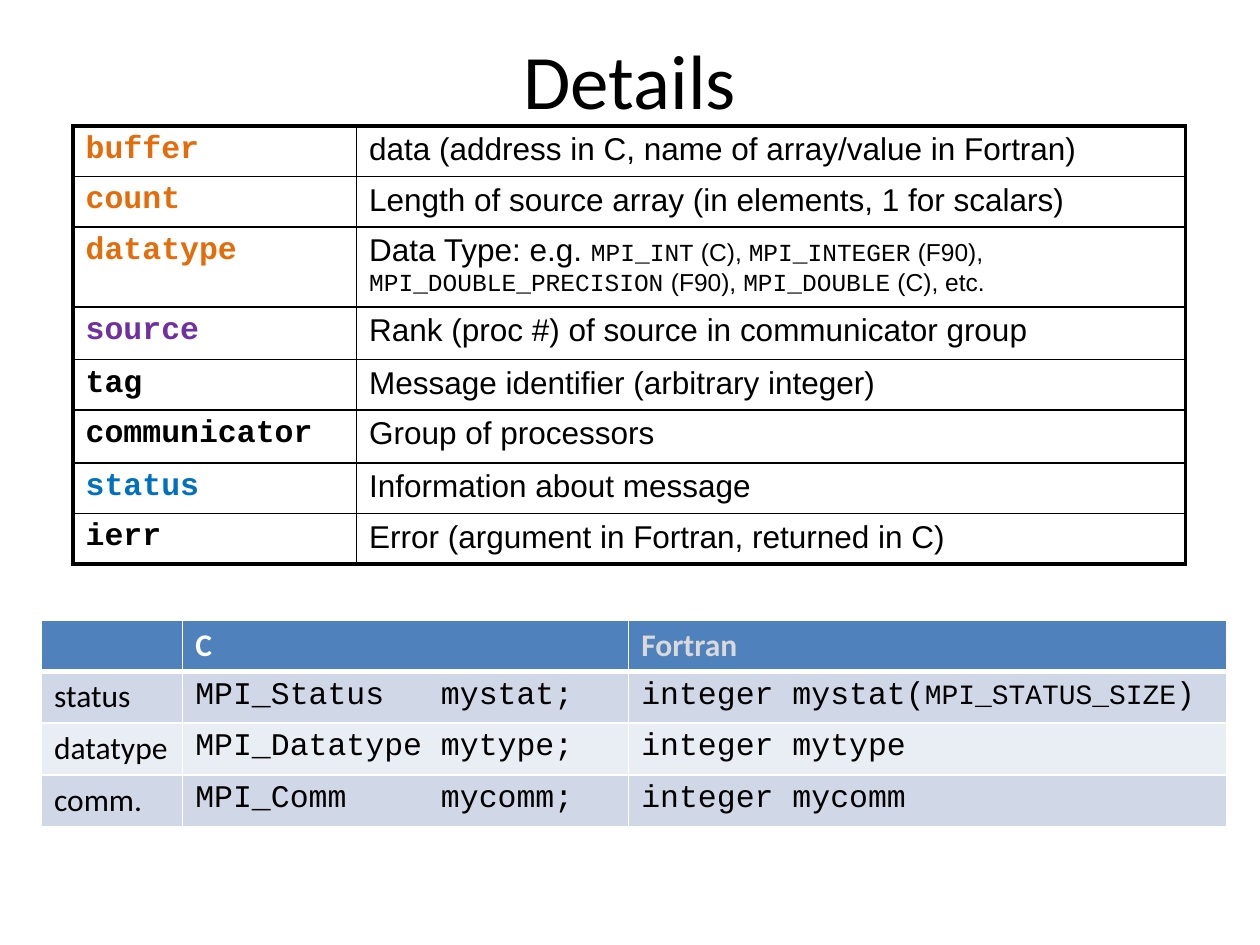
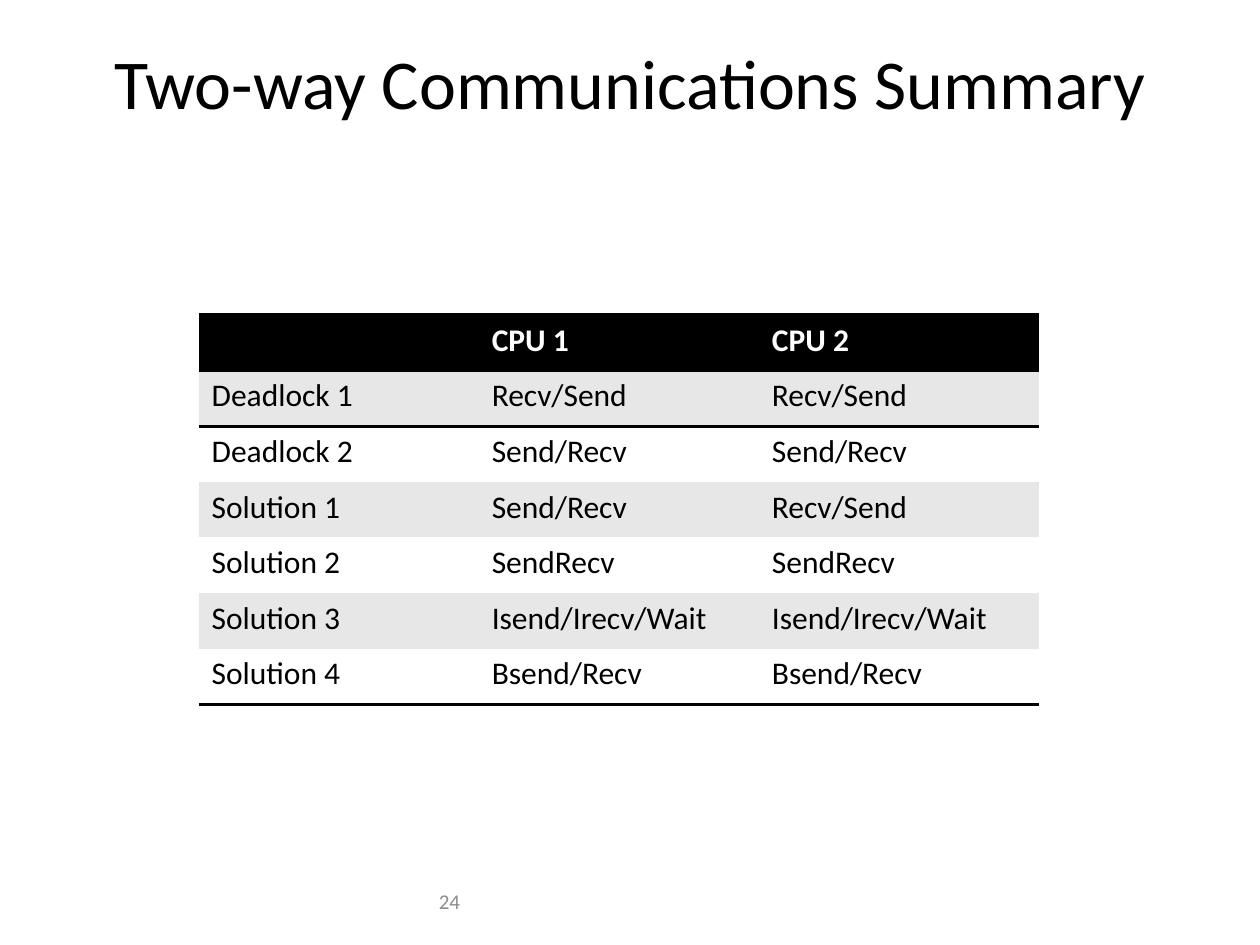
from lxml import etree
from pptx import Presentation
from pptx import util as u
from pptx.dml import color
from pptx.enum import text
from pptx.oxml import ns

BLACK, WHITE = "000000", "FFFFFF"
ORANGE, PURPLE, BLUE = "E46C0A", "7030A0", "0070C0"
HEADER_BLUE, BAND_BLUE, PALE_BLUE = "4F81BD", "D0D8E8", "E9EDF4"
BAND_GREY, NUMBER_GREY, HEADER_GREY = "E7E7E7", "8C8C8C", "D9D9D9"
BODY, SANS, CODE = "Calibri", "Arial", "Courier New"
PLAIN_TABLE = "{2D5ABB26-0587-4C30-8999-92F81FD0307C}"
CODE_TAB = 1.95

ARGUMENTS = [
    ("buffer", ORANGE, "data (address in C, name of array/value in Fortran)"),
    ("count", ORANGE, "Length of source array (in elements, 1 for scalars)"),
    ("datatype", ORANGE, "Data Type: e.g. "),
    ("source", PURPLE, "Rank (proc #) of source in communicator group"),
    ("tag", BLACK, "Message identifier (arbitrary integer)"),
    ("communicator", BLACK, "Group of processors"),
    ("status", BLUE, "Information about message"),
    ("ierr", BLACK, "Error (argument in Fortran, returned in C)"),
]
TYPE_EXAMPLES = [
    ("MPI_INT", " (C), "),
    ("MPI_INTEGER", " (F90), "),
    ("MPI_DOUBLE_PRECISION", " (F90), "),
    ("MPI_DOUBLE", " (C), etc."),
]
DECLARATIONS = [
    ("status", "MPI_Status\tmystat;", "integer mystat("),
    ("datatype", "MPI_Datatype\tmytype;", "integer mytype"),
    ("comm.", "MPI_Comm\tmycomm;", "integer mycomm"),
]
SUMMARY = [
    ("", "CPU 1", "CPU 2"),
    ("Deadlock 1", "Recv/Send", "Recv/Send"),
    ("Deadlock 2", "Send/Recv", "Send/Recv"),
    ("Solution 1", "Send/Recv", "Recv/Send"),
    ("Solution 2", "SendRecv", "SendRecv"),
    ("Solution 3", "Isend/Irecv/Wait", "Isend/Irecv/Wait"),
    ("Solution 4", "Bsend/Recv", "Bsend/Recv"),
]


def rgb(value):
    return color.RGBColor.from_string(value)


def add_text(paragraph, words, size=18, font=BODY, ink=BLACK, bold=False):
    run = paragraph.add_run()
    run.text = words
    run.font.size = u.Pt(size)
    run.font.name = font
    run.font.bold = bold
    run.font.color.rgb = rgb(ink)


def add_box(slide, box, words, align, **style):
    frame = slide.shapes.add_textbox(*map(u.Inches, box)).text_frame
    frame.word_wrap = True
    frame.vertical_anchor = text.MSO_ANCHOR.MIDDLE
    frame.paragraphs[0].alignment = align
    add_text(frame.paragraphs[0], words, **style)


def add_title(slide, box, words, size):
    add_box(slide, box, words, text.PP_ALIGN.CENTER, size=size)


def add_grid(slide, left, top, widths, heights):
    frame = slide.shapes.add_table(
        len(heights), len(widths), u.Inches(left), u.Inches(top),
        u.Inches(sum(widths)), u.Inches(sum(heights)))
    grid = frame.table
    grid.first_row = grid.horz_banding = False
    grid._tbl.tblPr.find(ns.qn("a:tableStyleId")).text = PLAIN_TABLE
    for column, width in zip(grid.columns, widths):
        column.width = u.Inches(width)
    for row, height in zip(grid.rows, heights):
        row.height = u.Inches(height)
    return grid


def fill_cell(cell, fill):
    cell.fill.solid()
    cell.fill.fore_color.rgb = rgb(fill)


def set_borders(cell, ink, **widths):
    properties = cell._tc.get_or_add_tcPr()
    sides = [side for side in "LRTB" if side in widths]
    for place, side in enumerate(sides):
        line = etree.Element(ns.qn("a:ln" + side), w=str(u.Pt(widths[side])))
        solid = etree.SubElement(line, ns.qn("a:solidFill"))
        etree.SubElement(solid, ns.qn("a:srgbClr"), val=ink)
        properties.insert(place, line)


def space_before(paragraph, percent):
    spacing = etree.SubElement(paragraph._p.get_or_add_pPr(), ns.qn("a:spcBef"))
    etree.SubElement(spacing, ns.qn("a:spcPct"), val=str(percent * 1000))


def add_tab_stop(paragraph, inches):
    stops = etree.SubElement(paragraph._p.get_or_add_pPr(), ns.qn("a:tabLst"))
    etree.SubElement(stops, ns.qn("a:tab"), pos=str(u.Inches(inches)), algn="l")


def add_argument_table(slide):
    heights = [0.37, 0.37, 0.6, 0.42, 0.37, 0.42, 0.37, 0.37]
    grid = add_grid(slide, 0.58, 1, [2.25, 6.58], heights)
    last = len(ARGUMENTS) - 1
    for row, (name, ink, meaning) in enumerate(ARGUMENTS):
        top = 2.25 if row == 0 else 1
        bottom = 2.25 if row == last else 1
        name_cell, meaning_cell = grid.cell(row, 0), grid.cell(row, 1)
        set_borders(name_cell, BLACK, L=2.25, R=1, T=top, B=bottom)
        set_borders(meaning_cell, BLACK, L=1, R=2.25, T=top, B=bottom)
        name_line = name_cell.text_frame.paragraphs[0]
        meaning_line = meaning_cell.text_frame.paragraphs[0]
        for line in (name_line, meaning_line):
            space_before(line, 20)
        add_text(name_line, name, font=CODE, ink=ink, bold=True)
        add_text(meaning_line, meaning, font=SANS)
        if name == "datatype":
            for constant, language in TYPE_EXAMPLES:
                add_text(meaning_line, constant, size=14, font=CODE)
                add_text(meaning_line, language, size=14, font=SANS)


def add_declaration_table(slide):
    grid = add_grid(slide, 0.33, 4.92, [1.12, 3.54, 4.75], [0.41] * 4)
    headings = [("", WHITE), ("C", WHITE), ("Fortran", HEADER_GREY)]
    for column, (heading, ink) in enumerate(headings):
        cell = grid.cell(0, column)
        fill_cell(cell, HEADER_BLUE)
        set_borders(cell, WHITE, L=1, R=1, T=1, B=3)
        if heading:
            add_text(cell.text_frame.paragraphs[0], heading, ink=ink, bold=True)
    for row, declaration in enumerate(DECLARATIONS, 1):
        for column, words in enumerate(declaration):
            cell = grid.cell(row, column)
            fill_cell(cell, BAND_BLUE if row % 2 else PALE_BLUE)
            set_borders(cell, WHITE, L=1, R=1, T=3 if row == 1 else 1, B=1)
            line = cell.text_frame.paragraphs[0]
            if "\t" in words:
                add_tab_stop(line, CODE_TAB)
            add_text(line, words, font=CODE if column else BODY)
    status_line = grid.cell(1, 2).text_frame.paragraphs[0]
    add_text(status_line, "MPI_STATUS_SIZE", size=16, font=CODE)
    add_text(status_line, ")", font=CODE)


def add_summary_table(slide):
    grid = add_grid(slide, 1.58, 2.5, [6.67 / 3] * 3, [3.09 / 7] * 7)
    rules = {0: {"T": 2, "B": 2}, 1: {"T": 2}, len(SUMMARY) - 1: {"B": 2}}
    for row, entries in enumerate(SUMMARY):
        header = row == 0
        band = BLACK if header else BAND_GREY if row % 2 else WHITE
        for column, words in enumerate(entries):
            cell = grid.cell(row, column)
            fill_cell(cell, band)
            set_borders(cell, BLACK, **rules.get(row, {}))
            if words:
                add_text(cell.text_frame.paragraphs[0], words,
                         ink=WHITE if header else BLACK, bold=header)


def main():
    deck = Presentation()
    deck.slide_width, deck.slide_height = u.Inches(10), u.Inches(7.5)
    blank = deck.slide_layouts[6]

    details = deck.slides.add_slide(blank)
    add_title(details, (0.5, 0, 9, 1.25), "Details", 44)
    add_argument_table(details)
    add_declaration_table(details)

    summary = deck.slides.add_slide(blank)
    add_title(summary, (0.75, 0, 8.5, 1.3), "Two-way Communications Summary", 40)
    add_box(summary, (1.42, 6.95, 2.33, 0.4), "24", text.PP_ALIGN.RIGHT,
            size=12, ink=NUMBER_GREY)
    add_summary_table(summary)

    deck.save("out.pptx")


main()
